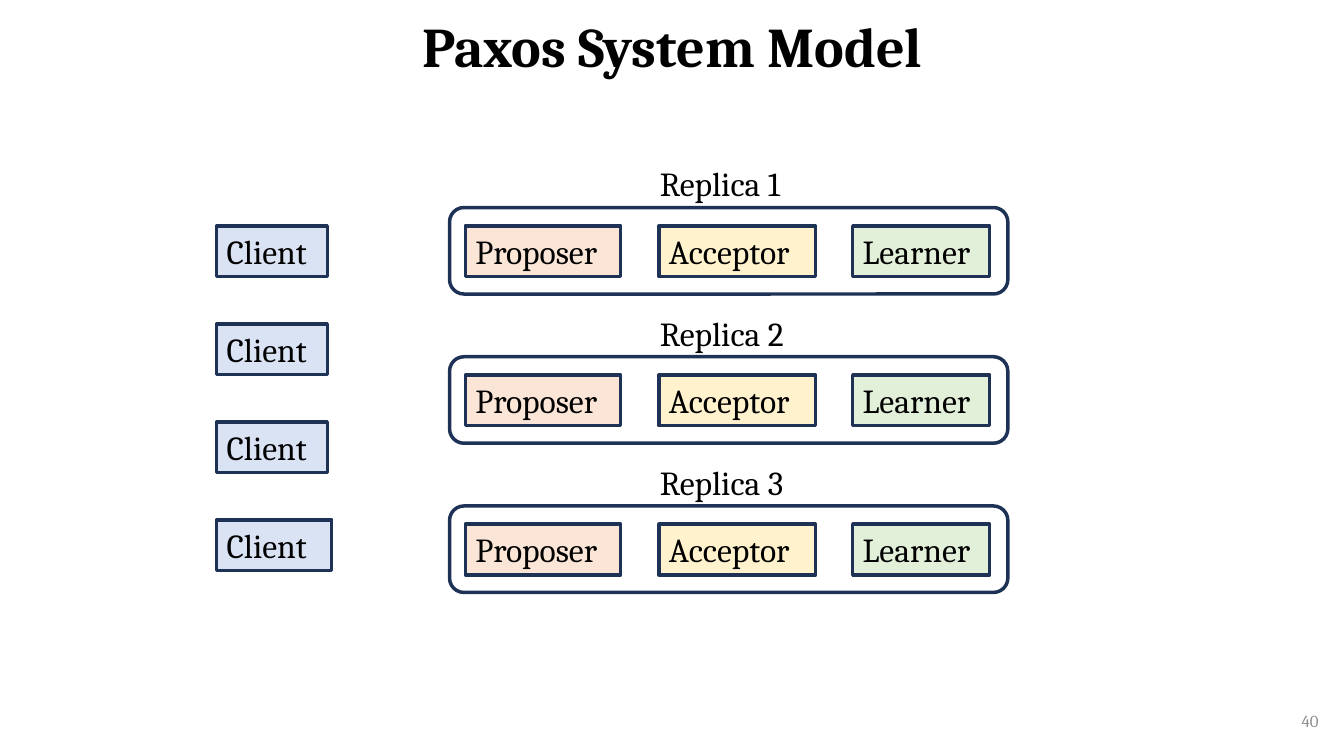
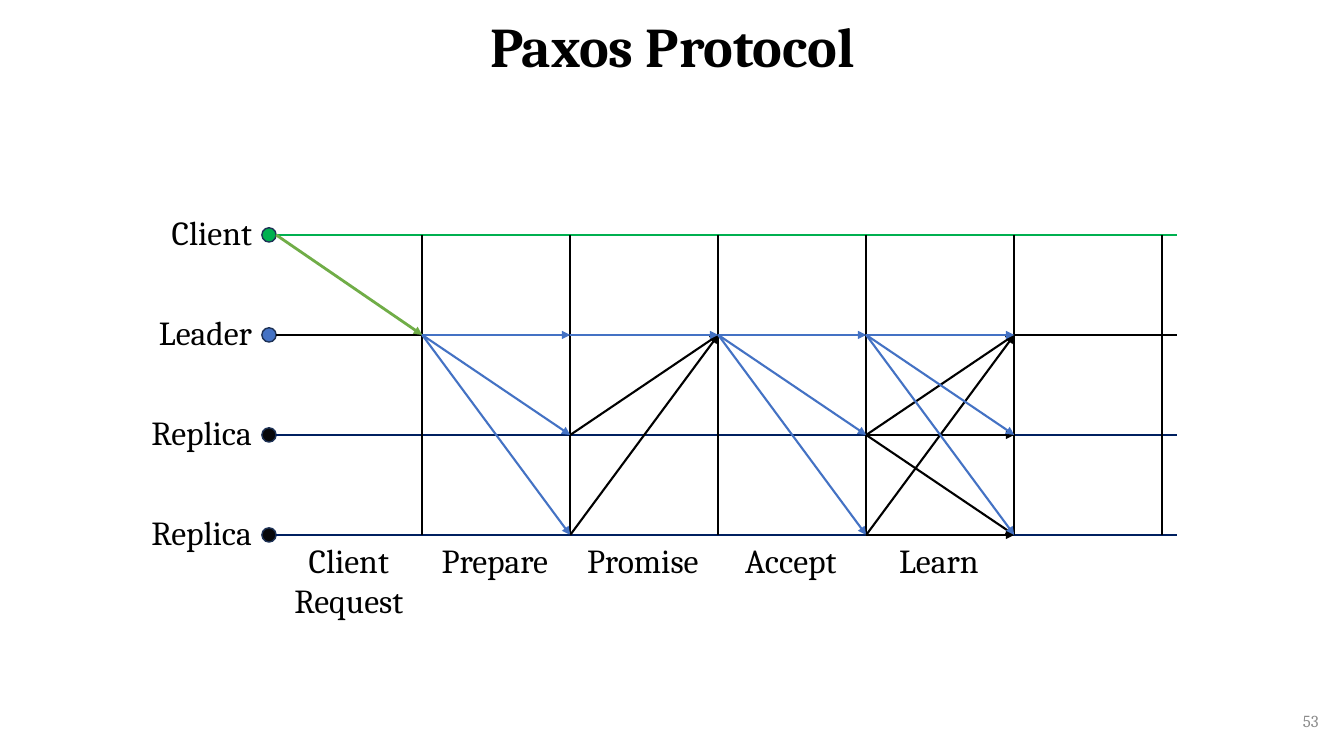
"""Build two slides on Paxos: the system model and the protocol timeline."""
from pptx import Presentation
from pptx.dml.color import RGBColor
from pptx.enum.shapes import MSO_CONNECTOR, MSO_SHAPE as Shape
from pptx.enum.text import MSO_ANCHOR as Anchor, PP_ALIGN as Align
from pptx.oxml.ns import qn
from pptx.util import Cm, Pt
from lxml.etree import SubElement

FONT = "Cambria"
BLACK, NAVY, BLUE, GREY = "000000", "1E3256", "4472C4", "8C8C8C"

MODEL_TITLE, MODEL_NUMBER = "Paxos System Model", "40"
REPLICAS = ["Replica 1", "Replica 2", "Replica 3"]
ROLES = [("Proposer", "FBE5D6", 3.91), ("Acceptor", "FFF2CC", 3.94), ("Learner", "E2F0D9", 3.45)]
CLIENT, CLIENT_FILL = "Client", "DAE3F3"
CLIENT_WIDTHS = [2.79, 2.79, 2.79, 2.9]

PROTOCOL_TITLE, PROTOCOL_NUMBER = "Paxos Protocol", "53"
LANES = [("Client", "00B050", "00B050"), ("Leader", BLUE, BLACK),
         ("Replica", "07080B", "002060"), ("Replica", "07080B", "002060")]
PHASES = ["Client\nRequest", "Prepare", "Promise", "Accept", "Learn"]
MESSAGES = [
    (0, "70AD47", 2, [(0, 1)]),
    (1, BLUE, 1.5, [(1, 1), (1, 2), (1, 3)]),
    (2, BLACK, 1.5, [(2, 1), (3, 1)]),
    (2, BLUE, 1.5, [(1, 1)]),
    (3, BLUE, 1.5, [(1, 1), (1, 2), (1, 3)]),
    (4, BLACK, 1.5, [(2, 1), (2, 3), (3, 1), (3, 3), (2, 2)]),
    (4, BLUE, 1.5, [(1, 1), (1, 2), (1, 3)]),
]

ROW_HEIGHT, REPLICA_PITCH, ROLE_PITCH, CLIENT_PITCH = 1.28, 3.76, 4.88, 2.47
LANE_PITCH, PHASE_PITCH = 2.52, 3.73
LANE_START, LANE_END, DOT = 6.96, 29.67, 0.36


def rgb(value):
    return RGBColor.from_string(value)


def write(frame, text, size=24, color=BLACK, bold=False, align=Align.LEFT,
          anchor=Anchor.TOP, spacing=1.0):
    frame.word_wrap = True
    frame.vertical_anchor = anchor
    frame.text = text
    for paragraph in frame.paragraphs:
        paragraph.alignment = align
        paragraph.line_spacing = spacing
        font = paragraph.font
        font.name, font.size, font.bold = FONT, Pt(size), bold
        font.color.rgb = rgb(color)


def add_label(slide, text, left, top, width, height=ROW_HEIGHT, **style):
    box = slide.shapes.add_textbox(Cm(left), Cm(top), Cm(width), Cm(height))
    write(box.text_frame, text, **style)


def add_figure(slide, preset, left, top, width, height, fill=None, weight=2.5):
    figure = slide.shapes.add_shape(preset, Cm(left), Cm(top), Cm(width), Cm(height))
    figure.shadow.inherit = False
    if fill:
        figure.fill.solid()
        figure.fill.fore_color.rgb = rgb(fill)
    else:
        figure.fill.background()
    figure.line.color.rgb = rgb(NAVY)
    figure.line.width = Pt(weight)
    return figure


def add_box(slide, text, left, top, width, fill):
    box = add_figure(slide, Shape.RECTANGLE, left, top, width, ROW_HEIGHT, fill)
    write(box.text_frame, text)


def add_line(slide, start, end, color, weight=1.5, arrow=False):
    line = slide.shapes.add_connector(MSO_CONNECTOR.STRAIGHT, *map(Cm, start + end))
    line.line.color.rgb = rgb(color)
    line.line.width = Pt(weight)
    if arrow:
        SubElement(line.line._get_or_add_ln(), qn("a:tailEnd"), type="triangle")
    SubElement(line._element.spPr, qn("a:effectLst"))


def add_slide(deck, title, number):
    slide = deck.slides.add_slide(deck.slide_layouts[6])
    add_label(slide, title, 2.34, 0, 29.21, 2.51, size=40, bold=True,
              align=Align.CENTER, anchor=Anchor.MIDDLE, spacing=0.9)
    add_label(slide, number, 25.86, 17.65, 7.62, 1.02, size=12, color=GREY,
              align=Align.RIGHT, anchor=Anchor.MIDDLE)
    return slide


def build_model(deck):
    slide = add_slide(deck, MODEL_TITLE, MODEL_NUMBER)
    for row, replica in enumerate(REPLICAS):
        top = 5.23 + row * REPLICA_PITCH
        add_figure(slide, Shape.ROUNDED_RECTANGLE, 11.33, top, 14.07, 2.18)
        for column, (role, fill, width) in enumerate(ROLES):
            add_box(slide, role, 11.73 + column * ROLE_PITCH, top + 0.46, width, fill)
        add_label(slide, replica, 16.38, top - 1.24, 3.96)
    for row, width in enumerate(CLIENT_WIDTHS):
        add_box(slide, CLIENT, 5.46, 5.69 + row * CLIENT_PITCH, width, CLIENT_FILL)


def build_protocol(deck):
    slide = add_slide(deck, PROTOCOL_TITLE, PROTOCOL_NUMBER)
    lane_tops = [5.92 + lane * LANE_PITCH for lane in range(len(LANES))]
    borders = [10.64 + phase * PHASE_PITCH for phase in range(len(PHASES) + 1)]
    starts = [LANE_START] + borders

    for (name, dot_fill, color), y in zip(LANES, lane_tops):
        add_figure(slide, Shape.OVAL, LANE_START - DOT, y - DOT / 2, DOT, DOT, dot_fill, 1)
        add_label(slide, name, 3.15, y - 0.7, 3.45, align=Align.RIGHT)
        add_line(slide, (LANE_START, y), (LANE_END, y), color)
    for x in borders:
        add_line(slide, (x, lane_tops[0]), (x, lane_tops[-1]), BLACK)
    for phase, color, weight, hops in MESSAGES:
        for sender, receiver in hops:
            add_line(slide, (starts[phase], lane_tops[sender]),
                     (starts[phase + 1], lane_tops[receiver]), color, weight, arrow=True)
    for name, x in zip(PHASES, starts):
        add_label(slide, name, x, lane_tops[-1], 3.66,
                  2.31 if "\n" in name else ROW_HEIGHT, align=Align.CENTER)


def main():
    deck = Presentation()
    deck.slide_width, deck.slide_height = Cm(33.87), Cm(19.05)
    build_model(deck)
    build_protocol(deck)
    deck.save("out.pptx")


if __name__ == "__main__":
    main()
